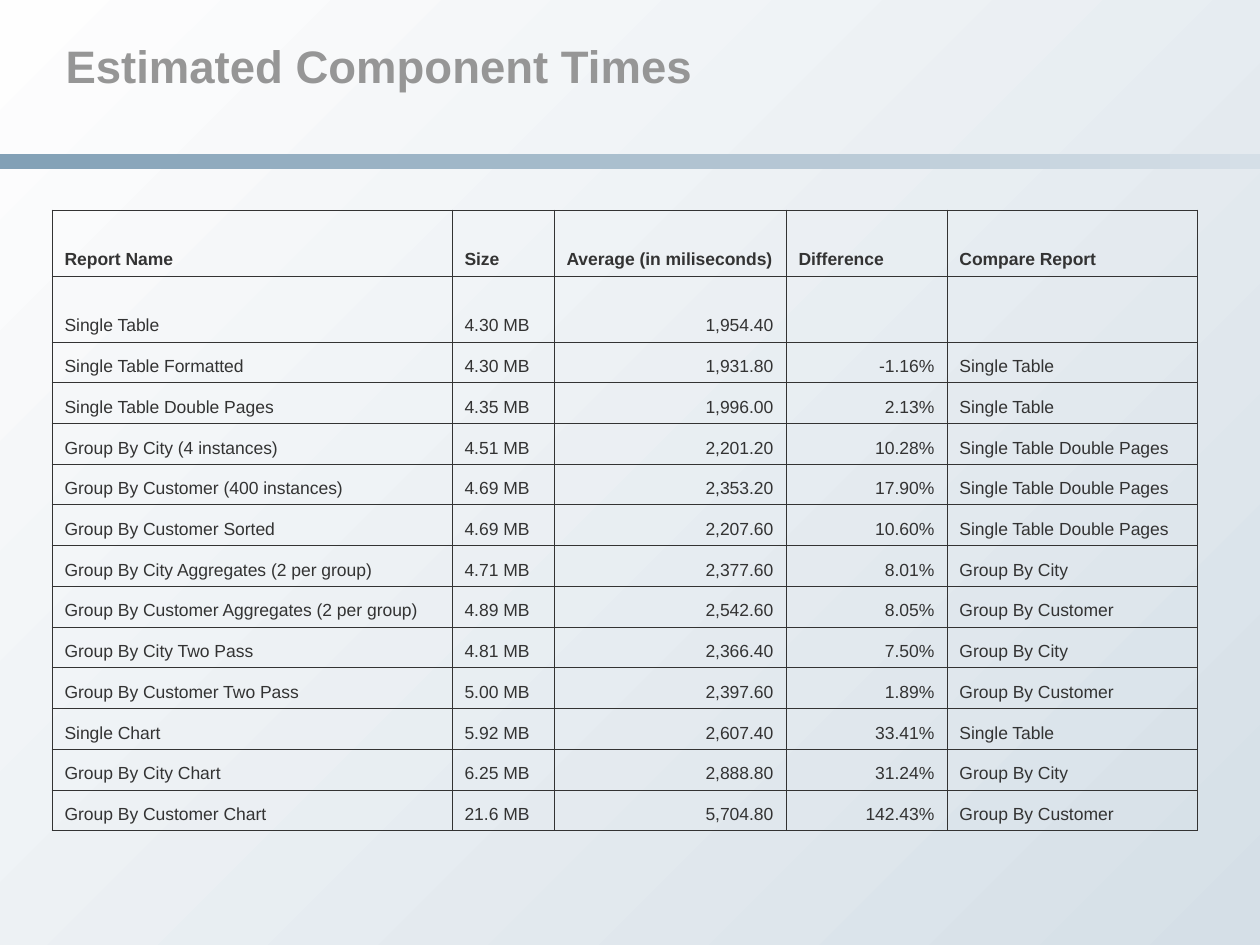
from dataclasses import dataclass

from lxml.etree import SubElement
from pptx import Presentation
from pptx.dml.color import RGBColor
from pptx.enum.shapes import MSO_SHAPE
from pptx.enum.text import MSO_ANCHOR, MSO_AUTO_SIZE, PP_ALIGN
from pptx.oxml.ns import qn
from pptx.util import Emu, Pt


@dataclass(frozen=True)
class Theme:
    font: str = "Arial"
    title_color: str = "969696"
    ink: str = "333333"
    pale: str = "D5DFE7"
    white: str = "FEFEFE"
    steel: str = "82A0B6"
    title_size: int = 26
    body_size: int = 10
    border_width: float = 0.45


THEME = Theme()
EMU_PER_PX = 914400 / 126
SLIDE_SIZE = (1260, 945)
TITLE_BOX = (53, 13, 1153, 105)
BAND_BOX = (0, 154, 1260, 15)
TABLE_BOX = (52, 210, 1145, 621)
COLUMN_WIDTHS = (400, 102, 232, 161, 250)
TALL_ROWS = 2
TALL_ROW_HEIGHT = 66
HANGING_INDENT = 32
NUMBER_COLUMNS = (2, 3)

REPORTS = [
    ("Report Name", "Size", "Average (in miliseconds)", "Difference", "Compare Report"),
    ("Single Table", "4.30 MB", "1,954.40", "", ""),
    ("Single Table Formatted", "4.30 MB", "1,931.80", "-1.16%", "Single Table"),
    ("Single Table Double Pages", "4.35 MB", "1,996.00", "2.13%", "Single Table"),
    ("Group By City (4 instances)", "4.51 MB", "2,201.20", "10.28%", "Single Table Double Pages"),
    ("Group By Customer (400 instances)", "4.69 MB", "2,353.20", "17.90%", "Single Table Double Pages"),
    ("Group By Customer Sorted", "4.69 MB", "2,207.60", "10.60%", "Single Table Double Pages"),
    ("Group By City Aggregates (2 per group)", "4.71 MB", "2,377.60", "8.01%", "Group By City"),
    ("Group By Customer Aggregates (2 per group)", "4.89 MB", "2,542.60", "8.05%", "Group By Customer"),
    ("Group By City Two Pass", "4.81 MB", "2,366.40", "7.50%", "Group By City"),
    ("Group By Customer Two Pass", "5.00 MB", "2,397.60", "1.89%", "Group By Customer"),
    ("Single Chart", "5.92 MB", "2,607.40", "33.41%", "Single Table"),
    ("Group By City Chart", "6.25 MB", "2,888.80", "31.24%", "Group By City"),
    ("Group By Customer Chart", "21.6 MB", "5,704.80", "142.43%", "Group By Customer"),
]


def px(length):
    return Emu(round(length * EMU_PER_PX))


def set_gradient(fill, start, end, angle):
    fill.gradient()
    fill.gradient_angle = angle
    for stop, color in zip(fill.gradient_stops, (start, end)):
        stop.color.rgb = RGBColor.from_string(color)


def set_font(paragraph, size, color, bold):
    font = paragraph.font
    font.name = THEME.font
    font.size = Pt(size)
    font.bold = bold
    font.color.rgb = RGBColor.from_string(color)


def place_title(slide, box, text):
    title = slide.shapes.title
    title.left, title.top, title.width, title.height = map(px, box)
    frame = title.text_frame
    frame.text = text
    frame.word_wrap = True
    frame.auto_size = MSO_AUTO_SIZE.NONE
    frame.vertical_anchor = MSO_ANCHOR.MIDDLE
    paragraph = frame.paragraphs[0]
    paragraph.alignment = PP_ALIGN.LEFT
    set_font(paragraph, THEME.title_size, THEME.title_color, True)


def add_band(slide, box):
    band = slide.shapes.add_shape(MSO_SHAPE.RECTANGLE, *map(px, box))
    band.shadow.inherit = False
    band.line.fill.background()
    set_gradient(band.fill, THEME.pale, THEME.steel, 180)


def add_borders(cell):
    properties = cell._tc.get_or_add_tcPr()
    for side in ("a:lnL", "a:lnR", "a:lnT", "a:lnB"):
        line = SubElement(properties, qn(side), w=str(Pt(THEME.border_width)))
        solid = SubElement(line, qn("a:solidFill"))
        SubElement(solid, qn("a:srgbClr"), val=THEME.ink)


def fill_cell(cell, text, is_header, is_number):
    add_borders(cell)
    cell.fill.background()
    cell.vertical_anchor = MSO_ANCHOR.BOTTOM
    cell.text = text
    paragraph = cell.text_frame.paragraphs[0]
    properties = paragraph._p.get_or_add_pPr()
    properties.set("marL", str(px(HANGING_INDENT)))
    properties.set("indent", str(px(-HANGING_INDENT)))
    paragraph.alignment = PP_ALIGN.RIGHT if is_number else PP_ALIGN.LEFT
    set_font(paragraph, THEME.body_size, THEME.ink, is_header)


def add_report_table(slide, box, reports):
    height = box[3]
    short_row_height = (height - TALL_ROWS * TALL_ROW_HEIGHT) / (len(reports) - TALL_ROWS)
    table = slide.shapes.add_table(len(reports), len(COLUMN_WIDTHS), *map(px, box)).table
    table.horz_banding = False
    for column, width in zip(table.columns, COLUMN_WIDTHS):
        column.width = px(width)
    for row_index, report in enumerate(reports):
        row = table.rows[row_index]
        row.height = px(TALL_ROW_HEIGHT if row_index < TALL_ROWS else short_row_height)
        is_header = row_index == 0
        for column_index, text in enumerate(report):
            is_number = not is_header and column_index in NUMBER_COLUMNS
            fill_cell(row.cells[column_index], text, is_header, is_number)


def main():
    presentation = Presentation()
    presentation.slide_width, presentation.slide_height = map(px, SLIDE_SIZE)
    slide = presentation.slides.add_slide(presentation.slide_layouts[5])
    set_gradient(slide.background.fill, THEME.pale, THEME.white, 135)
    add_band(slide, BAND_BOX)
    place_title(slide, TITLE_BOX, "Estimated Component Times")
    add_report_table(slide, TABLE_BOX, REPORTS)
    presentation.save("out.pptx")


if __name__ == "__main__":
    main()
